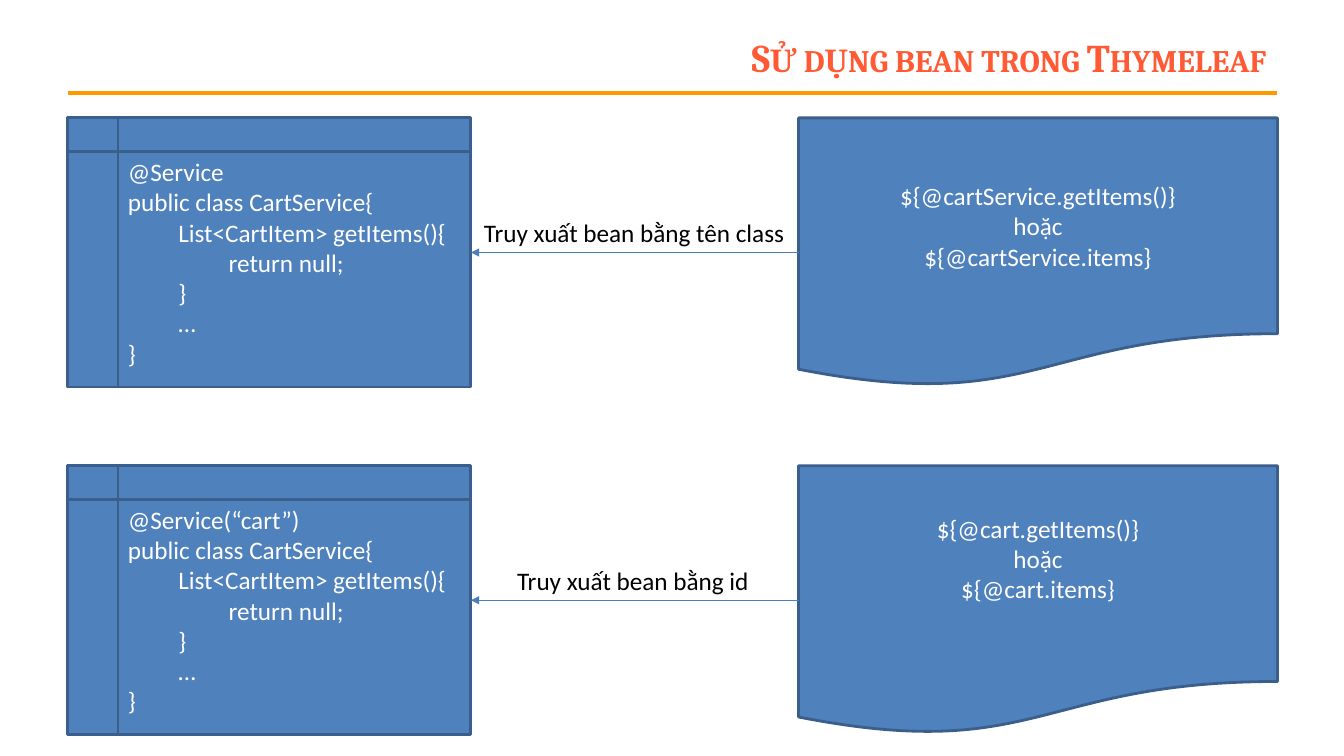
from dataclasses import dataclass

from lxml.etree import SubElement
from pptx import Presentation
from pptx.dml.color import RGBColor
from pptx.enum.shapes import MSO_CONNECTOR, MSO_SHAPE
from pptx.enum.text import MSO_ANCHOR, PP_ALIGN
from pptx.oxml.ns import qn
from pptx.util import Inches, Pt

FILL, OUTLINE, ARROW = "4F81BD", "3A5F8C", "4B7EBC"
ORANGE, TITLE_RED = "FF9900", "FF5A33"
WHITE, BLACK = "FFFFFF", "000000"

LEFT, RIGHT = 0.67, 12.67
CLASS_WIDTH, TEMPLATE_WIDTH, BOX_HEIGHT = 4, 4.75, 2.67
CLASS_RIGHT = LEFT + CLASS_WIDTH
TEMPLATE_LEFT = RIGHT - TEMPLATE_WIDTH
FIRST_TOP, ROW_STEP = 1.17, 3.45
INDENT = 0.5

BODY = {"name": "Calibri", "size": Pt(18), "bold": False}
HEADING = {"name": "Cambria", "size": Pt(28), "bold": True}


@dataclass(frozen=True)
class BeanAccess:
    annotation: str
    expressions: tuple[str, str]
    caption: str
    caption_left: float
    caption_width: float
    bottom_inset: float


ACCESSES = [
    BeanAccess("@Service", ("${@cartService.getItems()}", "${@cartService.items}"),
               "Truy xuất bean bằng tên class", 4.7, 3.22, 0.05),
    BeanAccess("@Service(“cart”)", ("${@cart.getItems()}", "${@cart.items}"),
               "Truy xuất bean bằng id", 5.03, 2.53, 0.35),
]

# Code lines below the annotation, each with its indent level
CLASS_CODE = [
    (0, "public class CartService{"),
    (1, "List<CartItem> getItems(){"),
    (2, "return null;"),
    (1, "}"),
    (1, "…"),
    (0, "}"),
]


def color(value: str) -> RGBColor:
    return RGBColor.from_string(value)


def write(frame, lines: list[tuple[int, str]], text_color: str, align: PP_ALIGN,
          anchor: MSO_ANCHOR, font_format: dict, wrap: bool = True) -> None:
    frame.word_wrap = wrap
    frame.vertical_anchor = anchor
    for index, (level, text) in enumerate(lines):
        paragraph = frame.paragraphs[0] if index == 0 else frame.add_paragraph()
        paragraph.alignment = align
        if level:
            paragraph.level = level
            paragraph._p.get_or_add_pPr().set("marL", str(Inches(level * INDENT)))
        run = paragraph.add_run()
        run.text = text
        for attribute, value in font_format.items():
            setattr(run.font, attribute, value)
        run.font.color.rgb = color(text_color)


def add_box(slide, kind: MSO_SHAPE, left: float, top: float, width: float):
    box = slide.shapes.add_shape(kind, Inches(left), Inches(top),
                                 Inches(width), Inches(BOX_HEIGHT))
    box.shadow.inherit = False
    box.fill.solid()
    box.fill.fore_color.rgb = color(FILL)
    box.line.color.rgb = color(OUTLINE)
    box.line.width = Pt(2)
    return box.text_frame


def add_line(slide, start: float, end: float, y: float, line_color: str,
             width: float, arrow: bool = False) -> None:
    line = slide.shapes.add_connector(MSO_CONNECTOR.STRAIGHT, Inches(start), Inches(y),
                                      Inches(end), Inches(y))
    line.line.color.rgb = color(line_color)
    line.line.width = Pt(width)
    if arrow:
        SubElement(line.line._get_or_add_ln(), qn("a:tailEnd"), type="triangle")
    SubElement(line._element.spPr, qn("a:effectLst"))


def add_label(slide, left: float, top: float, width: float, height: float):
    return slide.shapes.add_textbox(Inches(left), Inches(top),
                                    Inches(width), Inches(height)).text_frame


def add_access(slide, access: BeanAccess, top: float) -> None:
    # Template expressions
    template = add_box(slide, MSO_SHAPE.FLOWCHART_DOCUMENT, TEMPLATE_LEFT, top, TEMPLATE_WIDTH)
    template.margin_bottom = Inches(access.bottom_inset)
    method_call, property_name = access.expressions
    write(template, [(0, method_call), (0, "hoặc"), (0, property_name)],
          WHITE, PP_ALIGN.CENTER, MSO_ANCHOR.MIDDLE, BODY)

    # Service class
    service = add_box(slide, MSO_SHAPE.FLOWCHART_INTERNAL_STORAGE, LEFT, top, CLASS_WIDTH)
    write(service, [(0, access.annotation), *CLASS_CODE],
          WHITE, PP_ALIGN.LEFT, MSO_ANCHOR.TOP, BODY)

    # Arrow and its caption
    middle = top + BOX_HEIGHT / 2
    add_line(slide, TEMPLATE_LEFT, CLASS_RIGHT, middle, ARROW, 0.75, arrow=True)
    caption = add_label(slide, access.caption_left, middle - 0.4, access.caption_width, 0.4)
    write(caption, [(0, access.caption)], BLACK, PP_ALIGN.LEFT, MSO_ANCHOR.TOP, BODY, wrap=False)


def main() -> None:
    deck = Presentation()
    deck.slide_width, deck.slide_height = Inches(13.33), Inches(7.5)
    slide = deck.slides.add_slide(deck.slide_layouts[6])

    # Title and rule
    add_line(slide, LEFT, RIGHT, 0.92, ORANGE, 3)
    title = add_label(slide, 2.44, 0.3, 10.22, 0.53)
    write(title, [(0, "Sử dụng bean trong Thymeleaf")], TITLE_RED,
          PP_ALIGN.RIGHT, MSO_ANCHOR.MIDDLE, HEADING)
    title.paragraphs[0].runs[0].font._element.set("cap", "small")

    # One row per way of reaching the bean
    for row, access in enumerate(ACCESSES):
        add_access(slide, access, FIRST_TOP + row * ROW_STEP)

    deck.save("out.pptx")


if __name__ == "__main__":
    main()
